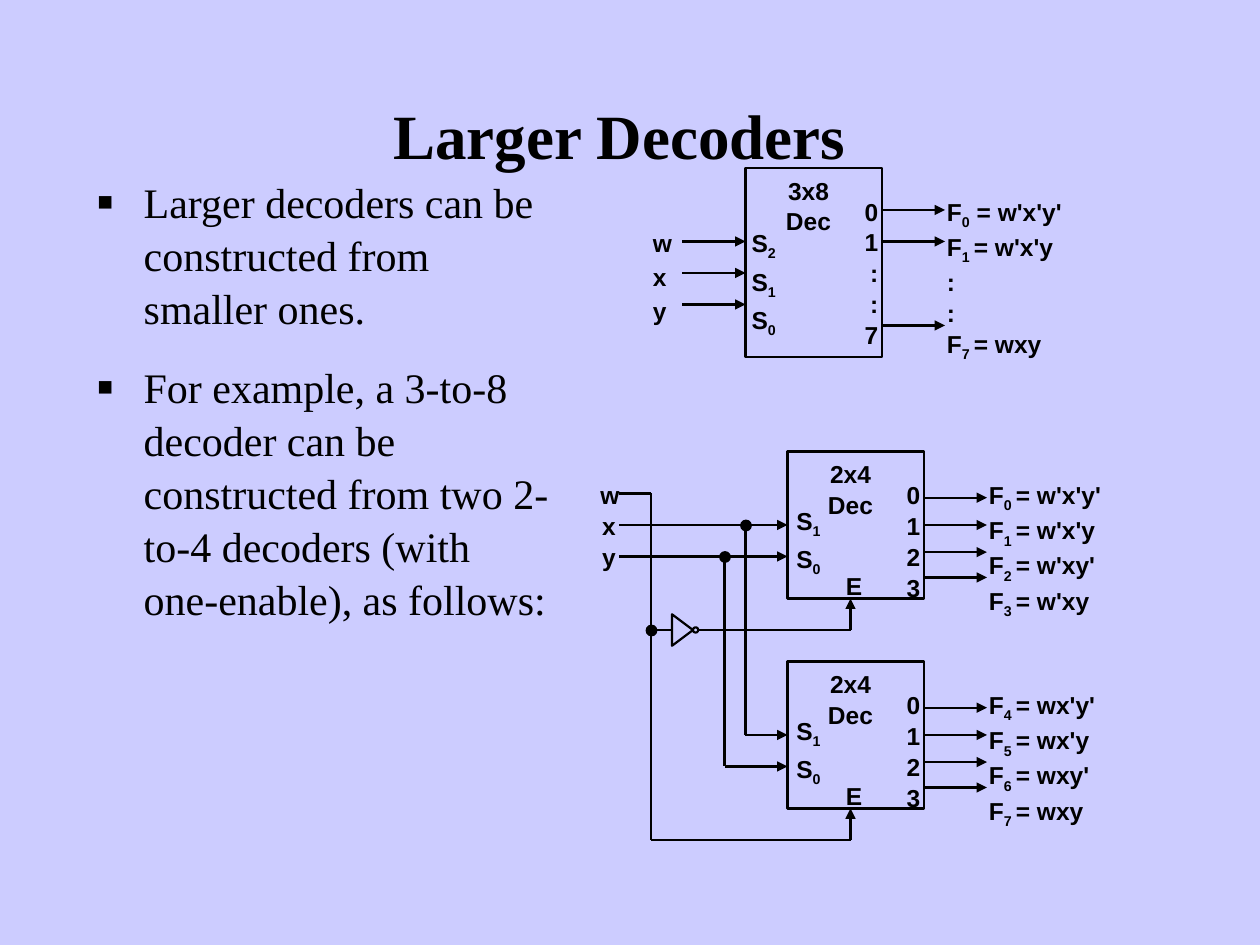
from lxml.etree import SubElement as Sub
from pptx import Presentation
from pptx.dml.color import RGBColor as Rgb
from pptx.enum.shapes import MSO_CONNECTOR as Conn, MSO_SHAPE as Kind
from pptx.enum.text import MSO_ANCHOR as Anchor, PP_ALIGN as Align
from pptx.oxml.ns import qn
from pptx.util import Pt

HUES = {"back": "CCCCFF", "ink": "000000"}
INK = Rgb.from_string(HUES["ink"])
PITCH = 1.05


def style(font, size, name, bold):
    """Set the size, face, weight and colour of a font."""
    font.size, font.name, font.bold = Pt(size), name, bold
    font.color.rgb = INK


def label(shapes, box, lines, align=Align.LEFT, gap=0):
    """Add diagram text; the parts between bars in a line are subscripts."""
    frame = shapes.add_textbox(*map(Pt, box)).text_frame
    frame.word_wrap = True
    for row, line in enumerate(lines):
        para = frame.add_paragraph() if row else frame.paragraphs[0]
        para.alignment, para.line_spacing = align, PITCH
        if row and gap:
            para.space_before = Pt(gap)
        for spot, part in enumerate(line.split("|")):
            run = para.add_run()
            run.text = part
            style(run.font, 14, "Arial", True)
            if spot % 2:
                run._r.get_or_add_rPr().set("baseline", "-25000")


def wire(shapes, ends, arrow=False):
    """Draw a straight wire, with an arrowhead if asked."""
    line = shapes.add_connector(Conn.STRAIGHT, *map(Pt, ends))
    line.line.color.rgb, line.line.width = INK, Pt(1.25)
    if arrow:
        Sub(line.line._get_or_add_ln(), qn("a:tailEnd"), type="triangle")
    Sub(line._element.spPr, qn("a:effectLst"))


def part(shapes, kind, box, width, solid=False):
    """Add an outlined shape, hollow or filled with ink."""
    shape = shapes.add_shape(kind, *map(Pt, box))
    shape.shadow.inherit = False
    shape.line.color.rgb, shape.line.width = INK, Pt(width)
    if solid:
        shape.fill.solid()
        shape.fill.fore_color.rgb = INK
    else:
        shape.fill.background()
    return shape


def decoder(shapes, box, name, picks, shift, marks, outs, rows):
    """Draw a decoder block with its select pins and outputs."""
    left, top, wide, high = box
    part(shapes, Kind.RECTANGLE, box, 1.5)
    label(shapes, (left + 6, top, 60, 41), [name, "Dec"], Align.CENTER)
    label(shapes, (left + shift[0], top + shift[1], 33, 22 * len(picks)),
          [f"S|{pick}" for pick in picks], gap=1.8)
    label(shapes, (left + wide - 25, top + 12, 30, 17 * len(marks) + 7),
          marks, Align.RIGHT)
    label(shapes, (left + wide + 30, top + 12, 90, 98), outs)
    for row in rows:
        wire(shapes, (left + wide, top + row, left + wide + 36, top + row), True)


def large(shapes, box):
    """Draw the 3-to-8 decoder and its three inputs."""
    left, top = box[:2]
    decoder(shapes, box, "3x8", "210", (-3.6, 30), list("01::7"),
            ["F|0| = w'x'y'", "F|1 |= w'x'y", ":", ":", "F|7 |= wxy"], (24, 42, 90))
    label(shapes, (left - 60, top + 30, 24, 61), list("wxy"), gap=1.8)
    for row in (42, 60, 78):
        wire(shapes, (left - 36, top + row, left, top + row), True)


def small(shapes, box, first, terms):
    """Draw a 2-to-4 decoder with an enable pin."""
    left, top = box[:2]
    outs = [f"F|{first + step} |= {term}" for step, term in enumerate(terms)]
    decoder(shapes, box, "2x4", "10", (-2, 26.5), list("0123"),
            outs, (26.4, 42, 57.5, 72))
    label(shapes, (left + 26, top + 64, 24, 24), ["E"], Align.CENTER)


def wiring(shapes, box):
    """Route the w, x and y inputs to both small decoders."""
    left, top, wide, high = box
    plain = [(0, 0, 18, 0), (18, 0, 18, high), (18, high, wide, high),
             (18, 78, 30, 78), (45, 78, wide, 78),
             (72, 18, 72, 138), (60, 36, 60, 156)]
    heads = [(0, 18, 96, 18), (0, 36, 96, 36), (72, 138, 96, 138),
             (60, 156, 96, 156), (wide, 78, wide, 60), (wide, high, wide, 180)]
    for ends in plain + heads:
        x1, y1, x2, y2 = ends
        wire(shapes, (left + x1, top + y1, left + x2, top + y2), ends in heads)
    gate = part(shapes, Kind.FLOWCHART_MERGE, (left + 27, top + 72, 18, 12), 1.25)
    gate.rotation = 270
    part(shapes, Kind.OVAL, (left + 42, top + 76.5, 3, 3), 1.25)
    for x, y in ((18, 78), (60, 36), (72, 18)):
        part(shapes, Kind.OVAL, (left + x - 2.7, top + y - 2.7, 6, 6), 0.75, True)
    label(shapes, (left - 18, top - 12, 24, 58), list("wxy"), Align.CENTER)


def head(title, box):
    """Place and format the slide title."""
    title.left, title.top, title.width, title.height = map(Pt, box)
    frame = title.text_frame
    frame.vertical_anchor, frame.word_wrap = Anchor.BOTTOM, True
    para = frame.paragraphs[0]
    para.alignment, para.line_spacing = Align.CENTER, PITCH
    run = para.add_run()
    run.text = "Larger Decoders"
    style(run.font, 36, "Times New Roman", True)


def points(shapes, box, lines):
    """Add the bulleted explanation."""
    frame = shapes.add_textbox(*map(Pt, box)).text_frame
    frame.word_wrap = True
    for row, line in enumerate(lines):
        para = frame.add_paragraph() if row else frame.paragraphs[0]
        props = para._p.get_or_add_pPr()
        props.set("marL", str(Pt(27)))
        props.set("indent", str(-Pt(27)))
        Sub(Sub(props, qn("a:buClr")), qn("a:srgbClr"), val=HUES["ink"])
        Sub(props, qn("a:buSzPct"), val="120000")
        Sub(props, qn("a:buFont"), typeface="Times New Roman")
        Sub(props, qn("a:buChar"), char="▪")
        para.line_spacing = PITCH
        if row:
            para.space_before = Pt(15)
        run = para.add_run()
        run.text = line
        style(run.font, 24, "Times New Roman", False)


def main():
    """Build and save the slide."""
    deck = Presentation()
    deck.slide_width, deck.slide_height = Pt(720), Pt(540)
    slide = deck.slides.add_slide(deck.slide_layouts[5])
    fill = slide.background.fill
    fill.solid()
    fill.fore_color.rgb = Rgb.from_string(HUES["back"])
    head(slide.shapes.title, (48, 12, 612, 90))
    points(slide.shapes, (48, 96, 276, 306), [
        "Larger decoders can be constructed from smaller ones.",
        "For example, a 3-to-8 decoder can be constructed from two "
        "2-to-4 decoders (with one-enable), as follows:"])
    large(slide.shapes.add_group_shape().shapes, (426, 96, 78, 108))
    pair = slide.shapes.add_group_shape().shapes
    small(pair, (450, 258, 78, 84), 0, ["w'x'y'", "w'x'y", "w'xy'", "w'xy"])
    small(pair, (450, 378, 78, 84), 4, ["wx'y'", "wx'y", "wxy'", "wxy"])
    wiring(pair, (354, 282, 132, 198))
    deck.save("out.pptx")


if __name__ == "__main__":
    main()
